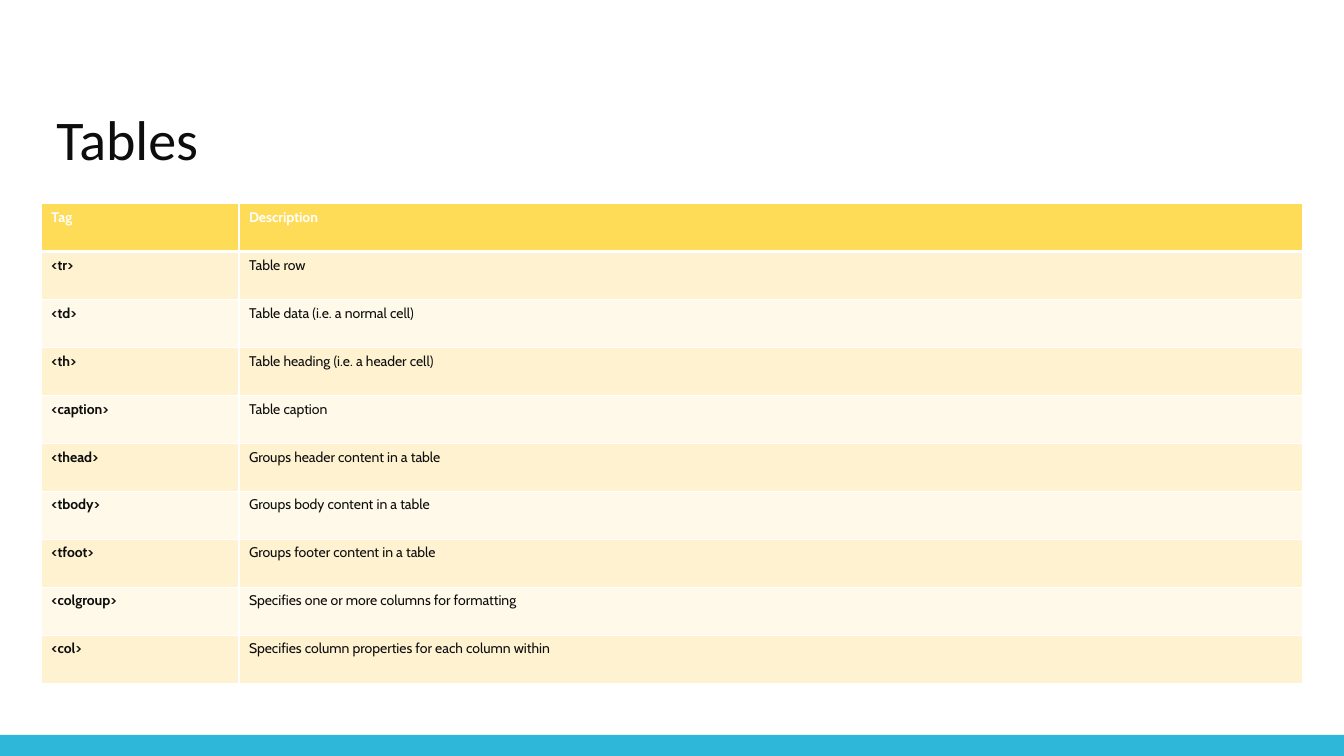
import pptx
import pptx.dml.color
import pptx.enum.shapes
import pptx.enum.text
import pptx.oxml.ns
import pptx.util
from lxml import etree

Inches = pptx.util.Inches
Pt = pptx.util.Pt

COLORS = {
    "white": "FFFFFF",
    "text": "0D0D0D",
    "bar": "2FB7DA",
    "header": "FFDC57",
    "odd": "FFF2D1",
    "even": "FFF9EA",
}

ROWS = [
    ("Tag", "Description"),
    ("<tr>", "Table row"),
    ("<td>", "Table data (i.e. a normal cell)"),
    ("<th>", "Table heading (i.e. a header cell)"),
    ("<caption>", "Table caption"),
    ("<thead>", "Groups header content in a table"),
    ("<tbody>", "Groups body content in a table"),
    ("<tfoot>", "Groups footer content in a table"),
    ("<colgroup>", "Specifies one or more columns for formatting"),
    ("<col>", "Specifies column properties for each column within"),
]
COLUMN_WIDTHS = (1.96, 10.55)
TABLE_HEIGHT = 4.76


def color(name):
    return pptx.dml.color.RGBColor.from_string(COLORS[name])


def format_run(run, font_name, size, color_name, bold=False):
    run.font.name = font_name
    run.font.size = Pt(size)
    run.font.bold = bold
    run.font.color.rgb = color(color_name)


def add_bar(slide):
    bar = slide.shapes.add_shape(
        pptx.enum.shapes.MSO_SHAPE.RECTANGLE,
        Inches(0), Inches(7.29), Inches(13.33), Inches(0.21))
    bar.shadow.inherit = False
    bar.fill.solid()
    bar.fill.fore_color.rgb = color("bar")
    bar.line.fill.background()


def add_title(slide, text):
    title = slide.shapes.add_textbox(
        Inches(0.56), Inches(1.06), Inches(12.21), Inches(0.79))
    frame = title.text_frame
    frame.word_wrap = True
    frame.vertical_anchor = pptx.enum.text.MSO_ANCHOR.TOP
    frame.margin_left = frame.margin_right = Inches(0)
    frame.margin_top = frame.margin_bottom = Inches(0.05)
    frame.text = text
    paragraph = frame.paragraphs[0]
    paragraph.line_spacing = 0.9
    format_run(paragraph.runs[0], "Calibri", 40, "text")


def add_border(cell, side, width):
    qn = pptx.oxml.ns.qn
    properties = cell._tc.get_or_add_tcPr()
    line = etree.SubElement(properties, qn(f"a:ln{side}"), w=str(Pt(width)))
    fill = etree.SubElement(line, qn("a:solidFill"))
    etree.SubElement(fill, qn("a:srgbClr"), val=COLORS["white"])


def format_cell(cell, text, row, column):
    header_row = row == 0
    top_width = 3 if row == 1 else 1
    bottom_width = 3 if header_row else 1
    for side, width in zip("LRTB", (1, 1, top_width, bottom_width)):
        add_border(cell, side, width)
    fill_name = "header" if header_row else ("even", "odd")[row % 2]
    cell.fill.solid()
    cell.fill.fore_color.rgb = color(fill_name)
    cell.text_frame.text = text
    format_run(cell.text_frame.paragraphs[0].runs[0], "Cabin", 10,
               "white" if header_row else "text",
               bold=header_row or column == 0)


def add_tag_table(slide):
    table = slide.shapes.add_table(
        len(ROWS), len(COLUMN_WIDTHS), Inches(0.41), Inches(2.02),
        Inches(sum(COLUMN_WIDTHS)), Inches(TABLE_HEIGHT)).table
    for column, width in zip(table.columns, COLUMN_WIDTHS):
        column.width = Inches(width)
    for row, texts in enumerate(ROWS):
        table.rows[row].height = Inches(TABLE_HEIGHT / len(ROWS))
        for column, text in enumerate(texts):
            format_cell(table.cell(row, column), text, row, column)


def main():
    presentation = pptx.Presentation()
    presentation.slide_width = Inches(13.33)
    presentation.slide_height = Inches(7.5)
    slide = presentation.slides.add_slide(presentation.slide_layouts[6])
    add_bar(slide)
    add_title(slide, "Tables")
    add_tag_table(slide)
    presentation.save("out.pptx")


if __name__ == "__main__":
    main()
